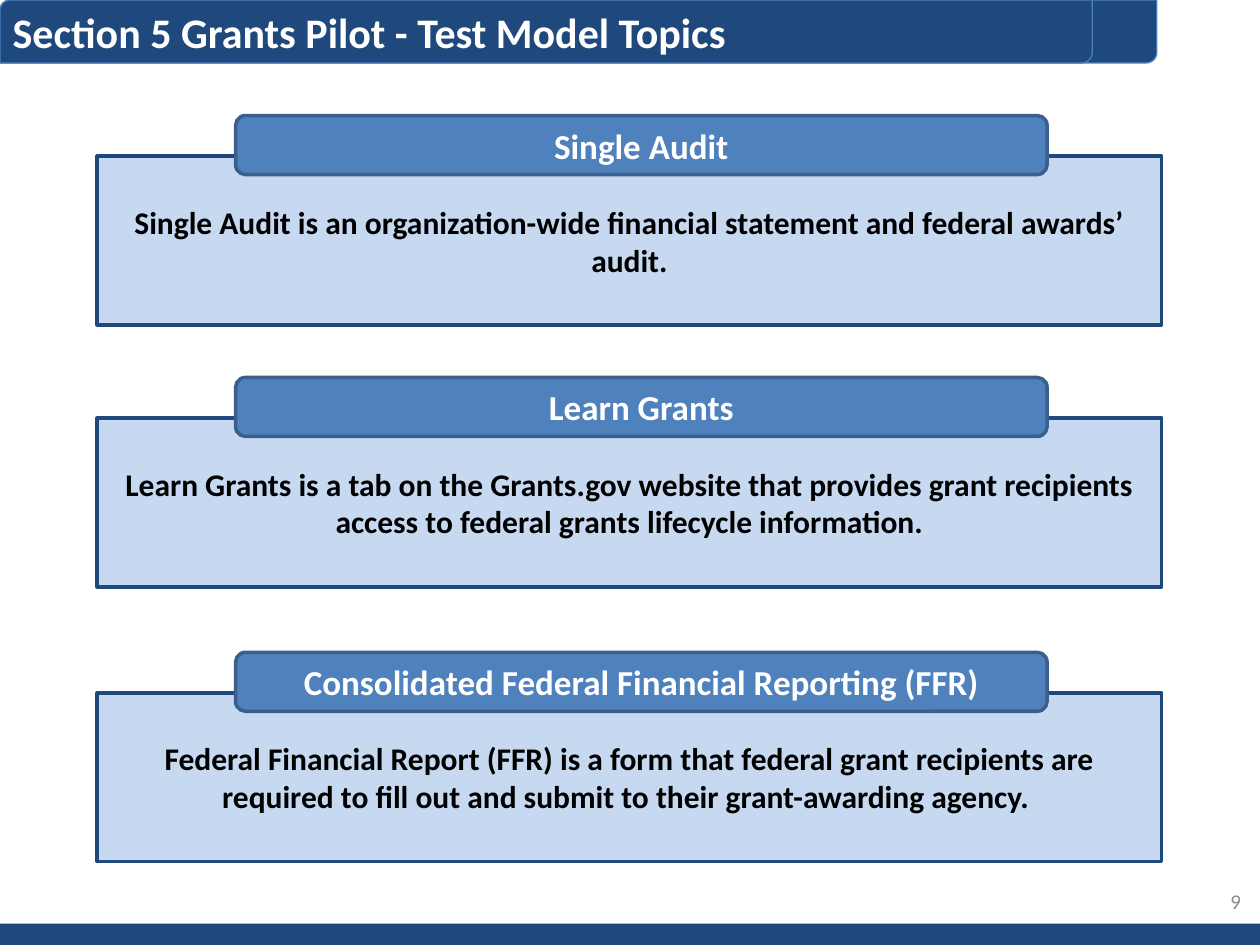
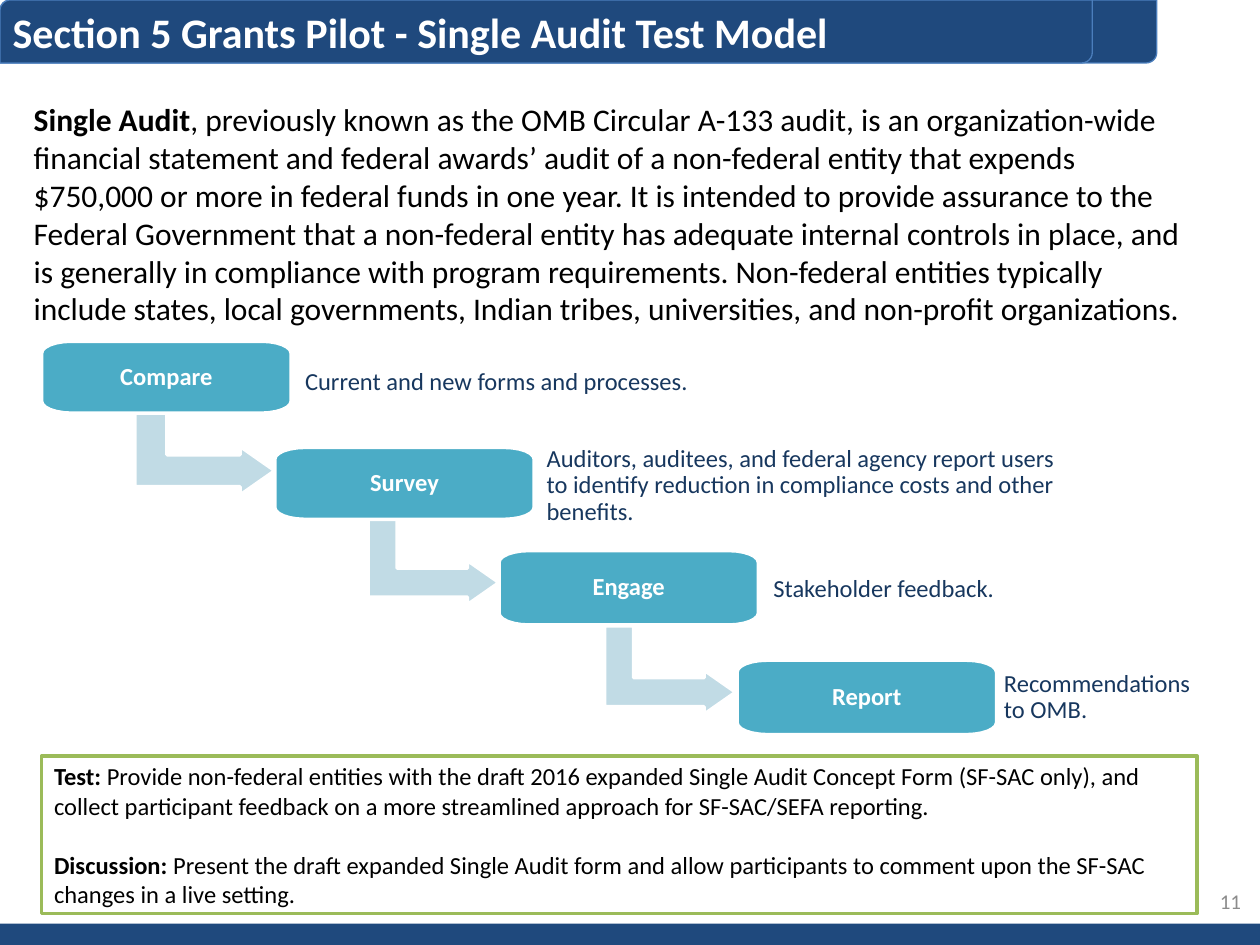
from math import cos, radians, sin

from pptx import Presentation
from pptx.dml.color import RGBColor
from pptx.enum.shapes import MSO_SHAPE
from pptx.enum.text import MSO_ANCHOR, MSO_AUTO_SIZE, PP_ALIGN
from pptx.util import Cm, Pt

RECT = MSO_SHAPE.RECTANGLE
ROUND = MSO_SHAPE.ROUNDED_RECTANGLE
DIAG = MSO_SHAPE.ROUND_2_DIAG_RECTANGLE
BENT = MSO_SHAPE.BENT_UP_ARROW
LEFT, MID, RIGHT = PP_ALIGN.LEFT, PP_ALIGN.CENTER, PP_ALIGN.RIGHT
TOP, CENTRE = MSO_ANCHOR.TOP, MSO_ANCHOR.MIDDLE
FIXED = MSO_AUTO_SIZE.NONE

FONT = "Calibri"
NAVY, BLUE, PALE = "1F497D", "4F81BD", "C6D9F1"
TEAL, MIST, GREEN, INK = "4BACC6", "C1DBE5", "9BBB59", "17375E"
WHITE, BLACK, GREY = "FFFFFF", "000000", "8C8C8C"
hue = RGBColor.from_string


def paint(shape, fill, edge, width=2):
    shape.shadow.inherit = False
    shape.fill.solid()
    shape.fill.fore_color.rgb = hue(fill)
    shape.line.color.rgb = hue(edge)
    shape.line.width = Pt(width)


def write(para, text, size, tint, bold=False, align=LEFT, lead=""):
    """Fill a paragraph, with an optional bold lead before the text."""
    para.text = lead or text
    if lead:
        para.add_run().text = text
    para.alignment = align
    for run in para.runs:
        run.font.name = FONT
        run.font.size = Pt(size)
        run.font.color.rgb = hue(tint)
        run.font.bold = bold
    if lead:
        para.runs[0].font.bold = True


deck = Presentation()
deck.slide_width, deck.slide_height = Cm(25.4), Cm(19.05)

# Titles and page numbers
heads = [
    ("Section 5 Grants Pilot - Test Model Topics", "9"),
    ("Section 5 Grants Pilot - Single Audit Test Model", "11"),
]
for head, page in heads:
    slide = deck.slides.add_slide(deck.slide_layouts[5])
    title = slide.shapes.title
    title.left, title.top, title.width, title.height = Cm(0), Cm(0), Cm(22.86), Cm(1.27)
    frame = title.text_frame
    frame.auto_size = FIXED
    frame.vertical_anchor = TOP
    write(frame.paragraphs[0], head, 24, WHITE, True)

    num = slide.shapes.add_textbox(Cm(19.35), Cm(17.65), Cm(5.92), Cm(1.02))
    num.text_frame.vertical_anchor = CENTRE
    num.text_frame.word_wrap = True
    write(num.text_frame.paragraphs[0], page, 12, GREY, align=RIGHT)

topics, audit = deck.slides

# Bands, moved to the master so that every slide has them
bands = [
    (RECT, 18.62, 25.4, 0.43, NAVY),
    (DIAG, 0, 23.32, 1.27, "4B7EBC"),
    (DIAG, 0, 22.02, 1.27, "4B7EBC"),
]
tree = deck.slide_master.shapes.element
for spot, (kind, y, w, h, edge) in enumerate(bands, 2):
    band = topics.shapes.add_shape(kind, Cm(0), Cm(y), Cm(w), Cm(h))
    paint(band, NAVY, edge, 0.75)
    if kind == RECT:
        band.line.fill.background()
    tree.insert(spot, band.element)

# Topic cards, each with a label across its top edge
cards = [
    (3.15, "Single Audit",
     "Single Audit is an organization-wide financial statement and federal "
     "awards’ audit."),
    (8.43, "Learn Grants",
     "Learn Grants is a tab on the Grants.gov website that provides grant "
     "recipients access to federal grants lifecycle information."),
    (13.97, "Consolidated Federal Financial Reporting (FFR)",
     "Federal Financial Report (FFR) is a form that federal grant recipients "
     "are required to fill out and submit to their grant-awarding agency. "),
]
for y, name, text in cards:
    group = topics.shapes.add_group_shape()
    card = group.shapes.add_shape(RECT, Cm(1.96), Cm(y), Cm(21.46), Cm(3.4))
    paint(card, PALE, NAVY)
    label = group.shapes.add_shape(ROUND, Cm(4.75), Cm(y - 0.82), Cm(16.36), Cm(1.19))
    paint(label, BLUE, "3A5F8C")
    for shape, words, size, tint in ((card, text, 18, BLACK), (label, name, 20, WHITE)):
        shape.text_frame.vertical_anchor = CENTRE
        shape.text_frame.word_wrap = True
        write(shape.text_frame.paragraphs[0], words, size, tint, True, MID)

# Introduction to the audit
intro = audit.shapes.add_textbox(Cm(0.43), Cm(1.9), Cm(23.7), Cm(4.88))
intro.text_frame.word_wrap = True
write(
    intro.text_frame.paragraphs[0],
    ", previously known as the OMB Circular A-133 audit, is an "
    "organization-wide financial statement and federal awards’ audit of a "
    "non-federal entity that expends $750,000 or more in federal funds in one "
    "year. It is intended to provide assurance to the Federal Government that "
    "a non-federal entity has adequate internal controls in place, and is "
    "generally in compliance with program requirements. Non-federal entities "
    "typically include states, local governments, Indian tribes, "
    "universities, and non-profit organizations.",
    18, BLACK, lead="Single Audit",
)

# Steps: name, its box, its note, the note's box and inset, the arrow to the next
steps = [
    ("Compare", (0.84, 6.88, 5.03, 1.45),
     "Current and new forms and processes.",
     (6.1, 6.78, 14.94, 1.85), 0.05, (3.15, 7.59, 1.96, 2.82)),
    ("Survey", (5.54, 9.02, 5.23, 1.45),
     "Auditors, auditees, and federal agency report users to identify "
     "reduction in compliance costs and other benefits.",
     (10.97, 9.04, 10.82, 1.5), 0.05, (7.85, 9.98, 1.78, 2.64)),
    ("Engage", (10.06, 11.1, 5.23, 1.5),
     "Stakeholder feedback.",
     (15.49, 11.13, 5.51, 1.5), 0.1, (12.62, 12.19, 1.78, 2.64)),
    ("Report", (14.86, 13.31, 5.23, 1.5),
     "Recommendations to OMB.",
     (20.14, 13.31, 4.42, 1.5), 0.1, None),
]
RX, RY = 0.6, 0.24
flow = audit.shapes.add_group_shape().shapes
for name, (x, y, w, h), text, place, gap, bend in steps:
    if bend:
        arrow = flow.add_shape(BENT, *map(Cm, bend))
        arrow.rotation = 90
        for i, value in enumerate((0.328, 0.25, 0.358)):
            arrow.adjustments[i] = value
        paint(arrow, MIST, WHITE)

    # Box with wide elliptical corners, clockwise from the right side
    dots = []
    for turn in range(4):
        mx = x + w - RX if turn in (0, 3) else x + RX
        my = y + h - RY if turn < 2 else y + RY
        for step in range(0, 91, 15):
            angle = radians(90 * turn + step)
            dots.append((Cm(mx + RX * cos(angle)), Cm(my + RY * sin(angle))))
    path = flow.build_freeform(*dots[0])
    path.add_line_segments(dots[1:], close=True)
    node = path.convert_to_shape()
    paint(node, TEAL, WHITE)
    note = flow.add_textbox(*map(Cm, place))

    for shape, words, tint, bold, align, inset in (
        (node, name, WHITE, True, MID, 0.25),
        (note, text, INK, False, LEFT, gap),
    ):
        frame = shape.text_frame
        frame.word_wrap = True
        frame.vertical_anchor = CENTRE
        frame.margin_left = frame.margin_right = Cm(inset)
        frame.margin_top = frame.margin_bottom = Cm(inset)
        write(frame.paragraphs[0], words, 14, tint, bold, align)
        frame.paragraphs[0].line_spacing = 0.9

# Test and discussion
plan = audit.shapes.add_shape(RECT, Cm(0.84), Cm(15.24), Cm(23.29), Cm(3.18))
paint(plan, WHITE, GREEN)
frame = plan.text_frame
frame.word_wrap = True
frame.vertical_anchor = CENTRE
write(
    frame.paragraphs[0],
    "Provide non-federal entities with the draft 2016 expanded Single Audit "
    "Concept Form (SF-SAC only), and collect participant feedback on a more "
    "streamlined approach for SF-SAC/SEFA reporting.",
    14, BLACK, lead="Test: ",
)
talk = frame.add_paragraph()
write(
    talk,
    "Present the draft expanded Single Audit form and allow participants to "
    "comment upon the SF-SAC changes in a live setting.",
    14, BLACK, lead="Discussion: ",
)
talk.space_before = Pt(17)

deck.save("out.pptx")
